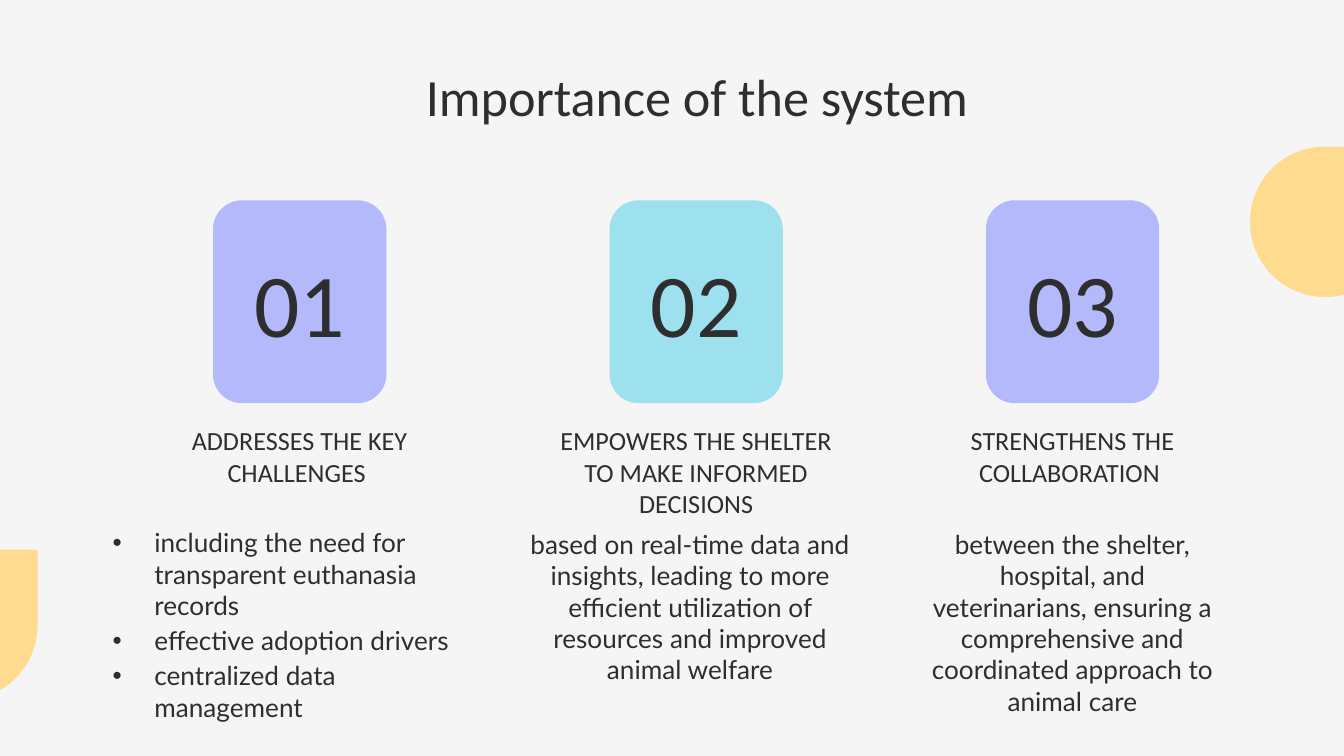
import pptx
import pptx.util
import pptx.dml.color
import pptx.enum.shapes
import pptx.enum.text
import pptx.oxml
import pptx.oxml.ns

Inches = pptx.util.Inches
SHAPES = pptx.enum.shapes.MSO_SHAPE
ALIGN = pptx.enum.text.PP_ALIGN
ANCHOR = pptx.enum.text.MSO_ANCHOR

COLORS = {
    "background": "F5F5F5",
    "yellow": "FFDB8F",
    "violet": "B3B9FB",
    "cyan": "9DE0EE",
    "text": "2E2E2E",
}


def add_filled_shape(kind, left, top, width, height, color):
    shape = slide.shapes.add_shape(
        kind, Inches(left), Inches(top), Inches(width), Inches(height))
    shape.shadow.inherit = False
    shape.fill.solid()
    shape.fill.fore_color.rgb = pptx.dml.color.RGBColor.from_string(COLORS[color])
    shape.line.fill.background()
    return shape


def add_text(left, top, width, height, lines, size, font="Calibri",
             anchor=ANCHOR.TOP, space_after=0, bullets=False):
    box = slide.shapes.add_textbox(
        Inches(left), Inches(top), Inches(width), Inches(height))
    frame = box.text_frame
    frame.word_wrap = True
    frame.vertical_anchor = anchor
    frame.margin_left = frame.margin_right = Inches(0.1)
    frame.margin_top = frame.margin_bottom = Inches(0.1)
    frame.text = "\n".join(lines)
    for paragraph in frame.paragraphs:
        paragraph.alignment = ALIGN.LEFT if bullets else ALIGN.CENTER
        paragraph.space_after = pptx.util.Pt(space_after)
        if bullets:
            properties = paragraph._p.get_or_add_pPr()
            properties.set("marL", str(Inches(0.31)))
            properties.set("indent", str(-Inches(0.31)))
            namespace = pptx.oxml.ns.nsdecls("a")
            for xml in (
                f'<a:buClr {namespace}><a:srgbClr val="{COLORS["text"]}"/></a:buClr>',
                f'<a:buFont {namespace} typeface="Arial"/>',
                f'<a:buChar {namespace} char="•"/>',
            ):
                properties.append(pptx.oxml.parse_xml(xml))
        paragraph.font.name = font
        paragraph.font.size = pptx.util.Pt(size)
        paragraph.font.color.rgb = pptx.dml.color.RGBColor.from_string(COLORS["text"])


# A 16:9 slide
presentation = pptx.Presentation()
presentation.slide_width = Inches(10)
presentation.slide_height = Inches(10) * 9 // 16
slide = presentation.slides.add_slide(presentation.slide_layouts[6])
slide.background.fill.solid()
slide.background.fill.fore_color.rgb = pptx.dml.color.RGBColor.from_string(
    COLORS["background"])

# Teardrops at the slide edges
for left, top in ((-0.84, 4.09), (9.3, 1.09)):
    teardrop = add_filled_shape(SHAPES.TEAR, left, top, 1.12, 1.12, "yellow")
    teardrop.adjustments[0] = 1

# Title
add_text(1.78, 0.38, 6.81, 0.69, ["Importance of the system"], 28)

# Columns: centre, card colour, heading, body place, body lines, space after
columns = [
    (2.23, "violet", "ADDRESSES THE KEY CHALLENGES ", (0.74, 3.82, 2.98, 1.59),
     ["including the need for transparent euthanasia records",
      "effective adoption drivers",
      "centralized data management"], 2),
    (5.18, "cyan", "EMPOWERS THE SHELTER TO MAKE INFORMED DECISIONS",
     (3.75, 3.83, 2.77, 1.41),
     ["based on real-time data and insights, leading to more efficient "
      "utilization of resources and improved animal welfare"], 6),
    (7.98, "violet", "STRENGTHENS THE COLLABORATION ", (6.75, 3.83, 2.46, 1.41),
     ["between the shelter, hospital, and veterinarians, ensuring a "
      "comprehensive and coordinated approach to animal care"], 0),
]
for number, (center, color, heading, place, body, space_after) in enumerate(columns, 1):
    card = add_filled_shape(
        SHAPES.ROUNDED_RECTANGLE, center - 1.29 / 2, 1.49, 1.29, 1.51, color)
    card.adjustments[0] = 0.167
    add_text(center - 1.92 / 2, 1.93, 1.92, 0.63, [f"{number:02}"], 48,
             anchor=ANCHOR.MIDDLE)
    add_text(center - 2.23 / 2, 3.06, 2.23, 0.63, [heading], 14)
    add_text(*place, body, 14, font="Lato", space_after=space_after,
             bullets=len(body) > 1)

presentation.save("out.pptx")
